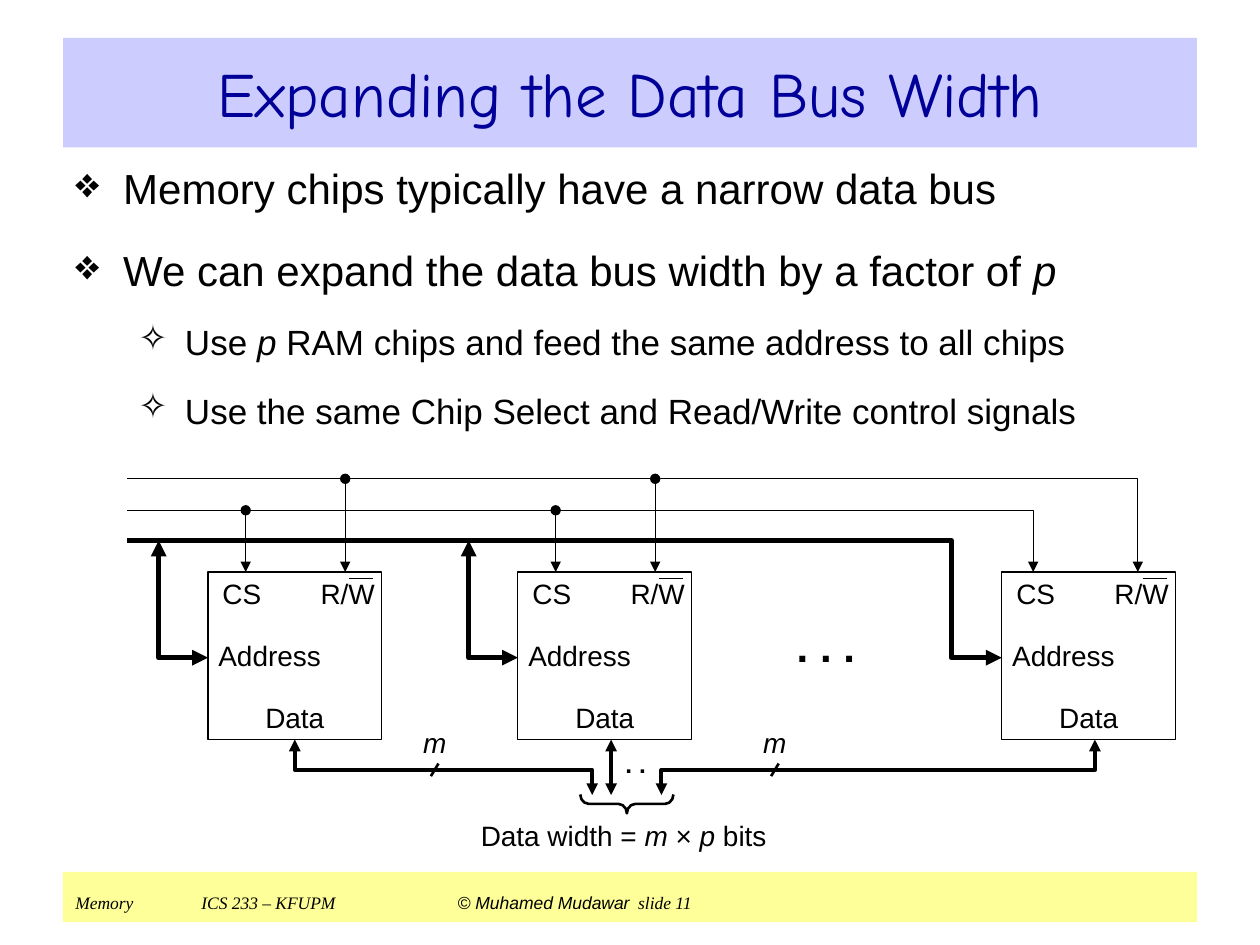
"""Build a slide on expanding the data bus width with several memory chips."""
from typing import NamedTuple, Optional, Sequence

from lxml.etree import SubElement
from pptx import Presentation
from pptx.dml.color import RGBColor
from pptx.enum.shapes import MSO_CONNECTOR, MSO_SHAPE
from pptx.enum.text import MSO_ANCHOR, MSO_AUTO_SIZE, PP_ALIGN
from pptx.oxml.ns import qn
from pptx.util import Inches, Pt

BLACK = RGBColor(0x00, 0x00, 0x00)
WHITE = RGBColor(0xFF, 0xFF, 0xFF)
NAVY = RGBColor(0x00, 0x00, 0x99)
LAVENDER = RGBColor(0xCC, 0xCC, 0xFF)
YELLOW = RGBColor(0xFF, 0xFF, 0x99)

CHIP_LEFTS = (1.65, 4.11, 7.95)
CHIP_TOP, CHIP_WIDTH, CHIP_HEIGHT = 4.54, 1.38, 1.33
CHIP_BOTTOM = CHIP_TOP + CHIP_HEIGHT
BUS_LEFT, READ_WRITE_Y, SELECT_Y, ADDRESS_Y = 1.01, 3.8, 4.05, 4.29
ADDRESS_PIN_Y, DATA_Y, DATA_END_Y = 5.22, 6.11, 6.31


class Piece(NamedTuple):
    text: str
    italic: bool = False
    font: str = "Arial"
    size: Optional[float] = None
    bold: bool = False


class Bullet(NamedTuple):
    level: int
    pieces: Sequence[Piece]


class BulletStyle(NamedTuple):
    symbol: str
    size: float
    margin: float
    indent: float
    space_before: float


class Label(NamedTuple):
    left: float
    top: float
    width: float
    height: float
    pieces: Sequence[Piece]
    size: float = 16


class Wire(NamedTuple):
    points: Sequence[tuple]
    width: float
    head: Optional[str] = None
    tail: Optional[str] = None


STYLES = (BulletStyle("❖", 24, 0.38, -0.38, 18), BulletStyle("✧", 20, 0.87, -0.37, 15))
BULLETS = (
    Bullet(0, [Piece("Memory chips typically have a narrow data bus")]),
    Bullet(0, [Piece("We can expand the data bus width by a factor of "), Piece("p", True)]),
    Bullet(1, [Piece("Use "), Piece("p", True),
               Piece(" RAM chips and feed the same address to all chips")]),
    Bullet(1, [Piece("Use the same Chip Select and Read/Write control signals")]),
)
FOOTER = (
    Piece("Memory\tICS 233 – KFUPM\t ", True, "Times New Roman"),
    Piece("© Muhamed Mudawar", True),
    Piece(" ", size=18),
    Piece("slide 11", True, "Times New Roman"),
)


def add_pieces(paragraph, pieces: Sequence[Piece], size: float) -> None:
    for piece in pieces:
        run = paragraph.add_run()
        run.text = piece.text
        run.font.name = piece.font
        run.font.size = Pt(piece.size or size)
        run.font.italic = piece.italic
        run.font.bold = piece.bold
        run.font.color.rgb = BLACK


def add_box(slide, kind, left: float, top: float, width: float, height: float):
    shape = slide.shapes.add_shape(kind, Inches(left), Inches(top), Inches(width), Inches(height))
    shape.shadow.inherit = False
    return shape


def add_label(slide, label: Label) -> None:
    box = slide.shapes.add_textbox(*(Inches(length) for length in label[:4]))
    frame = box.text_frame
    frame.word_wrap = True
    frame.vertical_anchor = MSO_ANCHOR.MIDDLE
    frame.margin_left = frame.margin_right = frame.margin_top = frame.margin_bottom = 0
    frame.paragraphs[0].alignment = PP_ALIGN.CENTER
    add_pieces(frame.paragraphs[0], label.pieces, label.size)


def add_wire(slide, wire: Wire) -> None:
    points = [(Inches(x), Inches(y)) for x, y in wire.points]
    if len(points) == 2:
        shape = slide.shapes.add_connector(MSO_CONNECTOR.STRAIGHT, *points[0], *points[1])
    else:
        builder = slide.shapes.build_freeform(*points[0])
        builder.add_line_segments(points[1:], close=False)
        shape = builder.convert_to_shape()
        shape.fill.background()
    shape.line.color.rgb = BLACK
    shape.line.width = Pt(wire.width)
    properties = shape._element.spPr
    outline = properties.find(qn("a:ln"))
    for tag, kind in (("a:headEnd", wire.head), ("a:tailEnd", wire.tail)):
        if kind:
            SubElement(outline, qn(tag), type=kind)
    SubElement(properties, qn("a:effectLst"))


def add_title(slide) -> None:
    title = slide.shapes.title
    title.left, title.top, title.width, title.height = (Inches(n) for n in (0.5, 0.3, 9, 0.87))
    title.fill.solid()
    title.fill.fore_color.rgb = LAVENDER
    frame = title.text_frame
    frame.text = "Expanding the Data Bus Width"
    frame.auto_size = MSO_AUTO_SIZE.NONE
    frame.vertical_anchor = MSO_ANCHOR.MIDDLE
    frame.paragraphs[0].alignment = PP_ALIGN.CENTER
    font = frame.paragraphs[0].runs[0].font
    font.name, font.size, font.color.rgb = "Comic Neue", Pt(36), NAVY


def add_footer(slide) -> None:
    footer = add_box(slide, MSO_SHAPE.RECTANGLE, 0.5, 6.92, 9, 0.4)
    footer.fill.solid()
    footer.fill.fore_color.rgb = YELLOW
    footer.line.fill.background()
    footer.text_frame.vertical_anchor = MSO_ANCHOR.TOP
    paragraph = footer.text_frame.paragraphs[0]
    paragraph.alignment = PP_ALIGN.LEFT
    tabs = SubElement(paragraph._p.get_or_add_pPr(), qn("a:tabLst"))
    for position in (1, 3):
        SubElement(tabs, qn("a:tab"), pos=str(Inches(position)), algn="l")
    add_pieces(paragraph, FOOTER, 10)


def add_bullets(slide) -> None:
    box = slide.shapes.add_textbox(Inches(0.5), Inches(1.24), Inches(9), Inches(2.46))
    frame = box.text_frame
    frame.word_wrap = True
    for index, bullet in enumerate(BULLETS):
        style = STYLES[bullet.level]
        paragraph = frame.add_paragraph() if index else frame.paragraphs[0]
        paragraph.level = bullet.level
        properties = paragraph._p.get_or_add_pPr()
        properties.set("marL", str(Inches(style.margin)))
        properties.set("indent", str(Inches(style.indent)))
        SubElement(properties, qn("a:buChar"), char=style.symbol)
        if index:
            paragraph.space_before = Pt(style.space_before)
        add_pieces(paragraph, bullet.pieces, style.size)


def add_chip(slide, left: float) -> None:
    chip = add_box(slide, MSO_SHAPE.RECTANGLE, left, CHIP_TOP, CHIP_WIDTH, CHIP_HEIGHT)
    chip.fill.solid()
    chip.fill.fore_color.rgb = WHITE
    chip.line.color.rgb = BLACK
    chip.line.width = Pt(0.75)
    for text, offset, top, width in (("CS", 0.05, 4.59, 0.44), ("R/W", 0.89, 4.59, 0.44),
                                     ("Address", 0, 5.08, 0.98), ("Data", 0.2, 5.57, 0.98)):
        add_label(slide, Label(left + offset, top, width, 0.24, [Piece(text)]))
    add_wire(slide, Wire([(left + 1.12, 4.59), (left + 1.31, 4.59)], 0.75))


def add_buses(slide) -> None:
    first, second, last = CHIP_LEFTS
    add_wire(slide, Wire([(BUS_LEFT, ADDRESS_Y), (last - 0.4, ADDRESS_Y),
                          (last - 0.4, ADDRESS_PIN_Y), (last, ADDRESS_PIN_Y)], 3, tail="triangle"))
    for left in (first, second):
        add_wire(slide, Wire([(left, ADDRESS_PIN_Y), (left - 0.39, ADDRESS_PIN_Y),
                              (left - 0.39, ADDRESS_Y)], 3, "triangle", "triangle"))
    for y, offset, end in ((READ_WRITE_Y, 1.09, 9.03), (SELECT_Y, 0.3, 8.2)):
        add_wire(slide, Wire([(BUS_LEFT, y), (end, y), (end, CHIP_TOP)], 0.75, tail="triangle"))
        for left in (first, second):
            x = left + offset
            add_wire(slide, Wire([(x, y), (x, CHIP_TOP)], 0.75, "oval", "triangle"))
    for start, end in ((2.34, 4.7), (8.69, 5.25)):
        add_wire(slide, Wire([(start, CHIP_BOTTOM), (start, DATA_Y), (end, DATA_Y),
                              (end, DATA_END_Y)], 2.25, "triangle", "triangle"))
    add_wire(slide, Wire([(4.85, CHIP_BOTTOM), (4.85, DATA_END_Y)], 2.25, "triangle", "triangle"))


def add_data_width(slide) -> None:
    brace = add_box(slide, MSO_SHAPE.RIGHT_BRACE, 4.9, 6.01, 0.15, 0.74)
    brace.rotation = 90
    brace.adjustments[0] = 0.45
    brace.fill.background()
    brace.line.color.rgb = BLACK
    brace.line.width = Pt(1.5)
    add_label(slide, Label(5.89, 4.93, 1.33, 0.39, [Piece(". . .", bold=True)], 24))
    add_label(slide, Label(4.8, 5.91, 0.49, 0.3, [Piece(". .", bold=True)], 14))
    add_label(slide, Label(3.72, 6.51, 2.46, 0.24, [
        Piece("Data width = "), Piece("m", True), Piece(" × "), Piece("p", True), Piece(" bits")]))
    for left in (3.28, 5.98):
        add_wire(slide, Wire([(left + 0.2, 6.06), (left + 0.14, 6.16)], 1.5))
        add_label(slide, Label(left, 5.77, 0.34, 0.24, [Piece("m", True)]))


def main() -> None:
    presentation = Presentation()
    presentation.slide_width, presentation.slide_height = Inches(10), Inches(7.5)
    slide = presentation.slides.add_slide(presentation.slide_layouts[5])
    add_footer(slide)
    add_title(slide)
    add_bullets(slide)
    for left in CHIP_LEFTS:
        add_chip(slide, left)
    add_buses(slide)
    add_data_width(slide)
    presentation.save("out.pptx")


if __name__ == "__main__":
    main()
